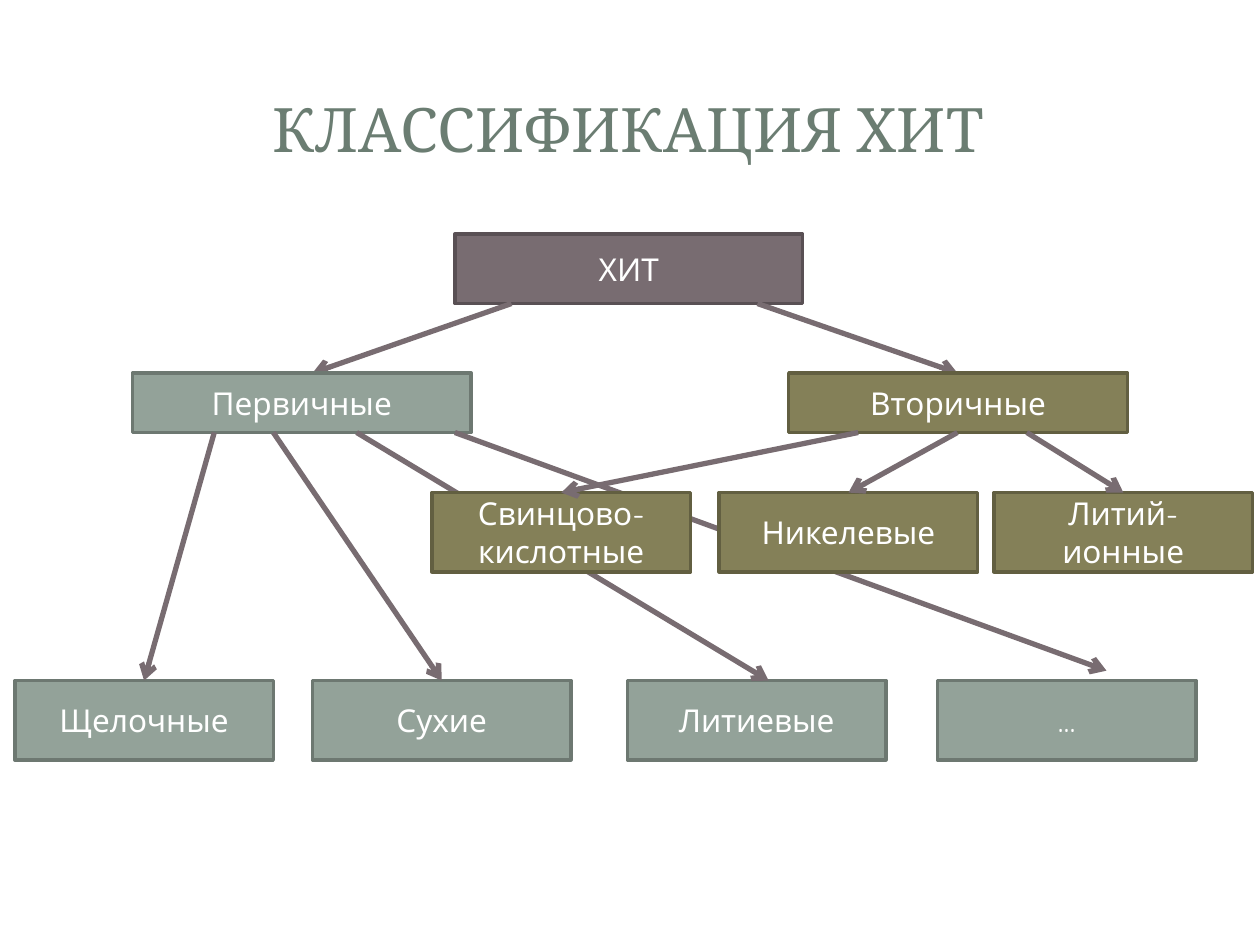
from collections import namedtuple

from lxml import etree
from pptx import Presentation
from pptx import util as u
from pptx.dml import color
from pptx.enum import shapes, text
from pptx.oxml import ns

COLORS = {
    "title": "6B7D72", "white": "FFFFFF",
    "root": "786C71", "root_line": "595054",
    "primary": "93A299", "primary_line": "6D7871",
    "secondary": "848058", "secondary_line": "625F41",
}
HEAD_WIDTH, HEAD_HEIGHT = 6.83, 1.2
LEAF_WIDTH, LEAF_HEIGHT = 5.21, 1.6

# All lengths are centimetres
Box = namedtuple("Box", "left top width height")


def rgb(name):
    return color.RGBColor.from_string(COLORS[name])


def format_text(frame, font, size, tint):
    frame.word_wrap = True
    frame.vertical_anchor = text.MSO_ANCHOR.MIDDLE
    for para in frame.paragraphs:
        para.alignment = text.PP_ALIGN.CENTER
        for span in para.runs:
            span.font.name = font
            span.font.size = u.Pt(size)
            span.font.color.rgb = rgb(tint)


def add_node(page, box, label, kind):
    node = page.shapes.add_shape(
        shapes.MSO_SHAPE.FLOWCHART_PROCESS, *map(u.Cm, box))
    node.shadow.inherit = False
    node.fill.solid()
    node.fill.fore_color.rgb = rgb(kind)
    node.line.color.rgb = rgb(kind + "_line")
    node.line.width = u.Pt(2)
    node.text_frame.text = label
    format_text(node.text_frame, "Quicksand", 18, "white")


def add_arrow(page, start, end):
    arrow = page.shapes.add_connector(
        shapes.MSO_CONNECTOR.STRAIGHT, *map(u.Cm, start + end))
    arrow.line.color.rgb = rgb("root")
    arrow.line.width = u.Pt(3)
    outline = arrow.line._get_or_add_ln()
    etree.SubElement(outline, ns.qn("a:tailEnd"), type="arrow")
    etree.SubElement(arrow._element.spPr, ns.qn("a:effectLst"))


def add_title(page, box, label):
    title = page.shapes.title
    title.left, title.top, title.width, title.height = map(u.Cm, box)
    title.text_frame.text = label
    format_text(title.text_frame, "Cambria", 35, "title")


def add_root(page, box, label, targets):
    """Top node with arrows from its lower edge to the two branches."""
    add_node(page, box, label, "root")
    bottom = box.top + box.height
    for start, end, drop in targets:
        add_arrow(page, (box.left + start, bottom),
                  (box.left + end, bottom + drop))


def add_branch(page, box, kind, label, head_left, leaves):
    """Head node, a row of leaves along the bottom, and arrows between.

    Each leaf is (label, left, arrow start, arrow tip shift from top centre).
    """
    head = Box(box.left + head_left, box.top, HEAD_WIDTH, HEAD_HEIGHT)
    add_node(page, head, label, kind)
    leaf_top = box.top + box.height - LEAF_HEIGHT
    for leaf, left, _, _ in leaves:
        add_node(page, Box(box.left + left, leaf_top, LEAF_WIDTH, LEAF_HEIGHT),
                 leaf, kind)
    for _, left, start, (shift_x, shift_y) in leaves:
        tip = box.left + left + LEAF_WIDTH / 2 + shift_x
        add_arrow(page, (box.left + start, head.top + head.height),
                  (tip, leaf_top + shift_y))


def main():
    deck = Presentation()
    deck.slide_width, deck.slide_height = u.Cm(25.4), u.Cm(19.05)
    page = deck.slides.add_slide(deck.slide_layouts.get_by_name("Title Only"))

    # Title
    add_title(page, Box(1.19, 1.14, 22.94, 2.9), "КЛАССИФИКАЦИЯ ХИТ")

    # Root of the tree
    add_root(page, Box(9.17, 4.72, 7.01, 1.4), "ХИТ",
             [(1.14, -2.87, 1.4), (6.1, 10.13, 1.4)])

    # Primary cells, whose arrows pass behind the secondary leaves
    add_branch(page, Box(0.3, 7.52, 23.81, 7.8), "primary", "Первичные", 2.37, [
        ("Щелочные", 0, 4.02, (0, 0)),
        ("Сухие", 6, 5.21, (0, 0)),
        ("Литиевые", 12.35, 6.89, (0.24, 0)),
        ("…", 18.6, 8.87, (0.8, -0.2)),
    ])

    # Secondary cells
    add_branch(page, Box(8.71, 7.52, 16.54, 4.01), "secondary", "Вторичные", 7.19, [
        ("Свинцово-кислотные", 0, 8.59, (0, 0)),
        ("Никелевые", 5.79, 10.59, (0, 0)),
        ("Литий-\nионные", 11.33, 11.99, (0, 0)),
    ])

    deck.save("out.pptx")


if __name__ == "__main__":
    main()
